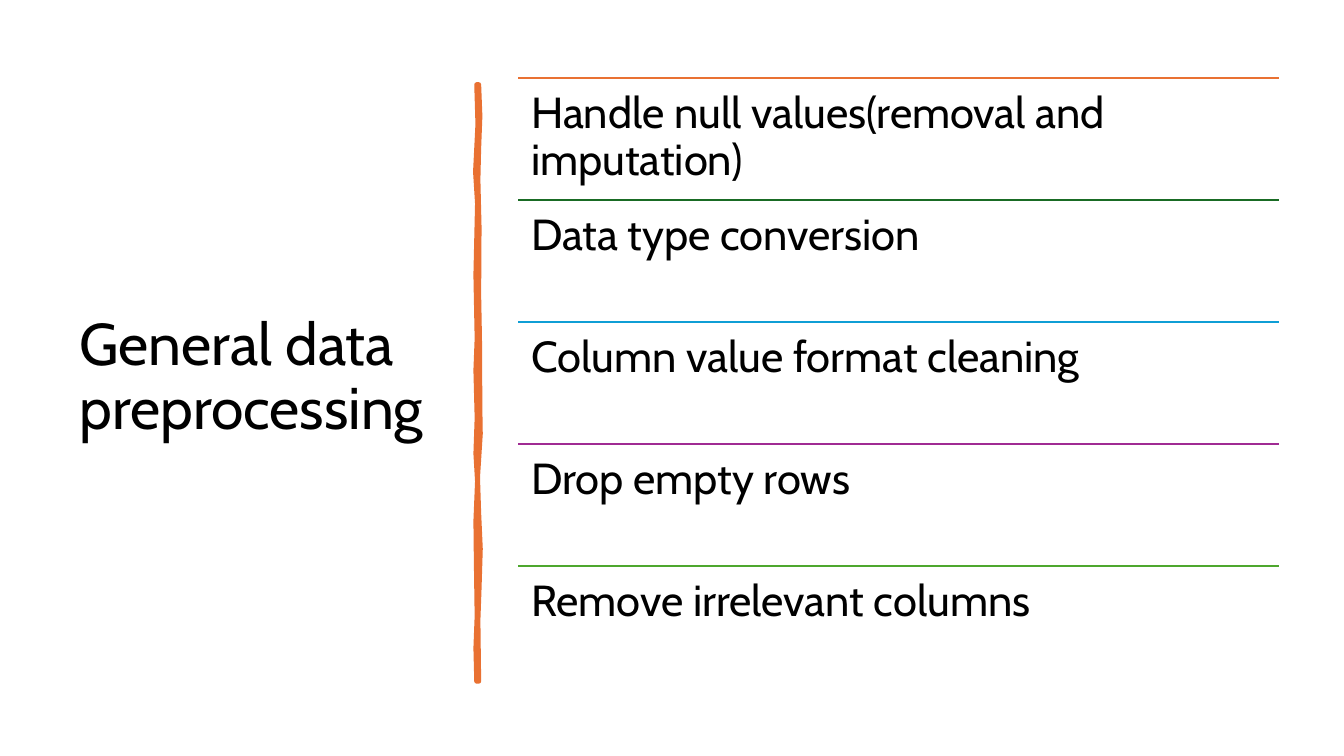
from lxml import etree
from pptx import Presentation
from pptx.dml.color import RGBColor
from pptx.enum import shapes, text
from pptx.oxml import ns
from pptx.util import Cm, Pt

FONT = "Cabin"
STEPS = [
    ("Handle null values(removal and imputation)", "E97132"),
    ("Data type conversion", "196B24"),
    ("Column value format cleaning", "0F9ED5"),
    ("Drop empty rows", "A02B93"),
    ("Remove irrelevant columns", "4EA72E"),
]
# Sideways offset and depth of the points on each edge of the brush stroke, in cm
RIGHT_EDGE = [(0.03, 0), (0.06, 0.8), (0.03, 1.6), (0.01, 2.4), (0.04, 3.6),
              (0.03, 5.3), (0.05, 6.4), (0.06, 8.2), (0.07, 8.8), (0, 9.9),
              (0.03, 10.8), (0.07, 11.7), (0.04, 12.7), (0.01, 13.5), (0.03, 15.04)]
LEFT_EDGE = [(-0.03, 15.04), (-0.05, 14.2), (-0.02, 13.4), (-0.04, 12.0),
             (-0.05, 11.0), (-0.01, 10.0), (-0.05, 9.3), (-0.02, 8.4),
             (-0.05, 7.2), (-0.02, 6.4), (-0.05, 4.8), (-0.01, 3.0),
             (-0.06, 2.2), (0, 1.0), (-0.03, 0)]


def color(hex_code):
    return RGBColor.from_string(hex_code)


def add_text(slide, words, box, size, anchor, inset_x, inset_y):
    frame = slide.shapes.add_textbox(*(Cm(n) for n in box)).text_frame
    frame.word_wrap = True
    frame.vertical_anchor = anchor
    frame.margin_left = frame.margin_right = Cm(inset_x)
    frame.margin_top = frame.margin_bottom = Cm(inset_y)
    paragraph = frame.paragraphs[0]
    paragraph.line_spacing = 0.9
    run = paragraph.add_run()
    run.text = words
    run.font.name = FONT
    run.font.size = Pt(size)
    run.font.color.rgb = color("000000")


def add_heading(slide, box):
    add_text(slide, "General data preprocessing", box, size=42,
             anchor=text.MSO_ANCHOR.MIDDLE, inset_x=0.25, inset_y=0.13)


def add_brush_stroke(slide, center, top):
    outline = [(Cm(center + dx), Cm(top + dy)) for dx, dy in RIGHT_EDGE + LEFT_EDGE]
    builder = slide.shapes.build_freeform(*outline[0])
    builder.add_line_segments(outline[1:], close=True)
    stroke = builder.convert_to_shape()
    stroke.shadow.inherit = False
    stroke.fill.solid()
    stroke.fill.fore_color.rgb = color("E97132")
    stroke.line.color.rgb = color("E97132")
    stroke.line.width = Pt(3.25)
    etree.SubElement(stroke.line._get_or_add_ln(), ns.qn("a:round"))


def add_rule(slide, left, top, width, hex_code):
    rule = slide.shapes.add_connector(
        shapes.MSO_CONNECTOR.STRAIGHT, Cm(left), Cm(top), Cm(left + width), Cm(top))
    rule.line.color.rgb = color(hex_code)
    rule.line.width = Pt(1.5)
    etree.SubElement(rule._element.spPr, ns.qn("a:effectLst"))


def add_steps(slide, box):
    left, top, width, height = box
    row_height = height / len(STEPS)
    for index, (step, hex_code) in enumerate(STEPS):
        row_top = top + index * row_height
        add_rule(slide, left, row_top, width, hex_code)
        add_text(slide, step, (left, row_top, width, row_height), size=31,
                 anchor=text.MSO_ANCHOR.TOP, inset_x=0.33, inset_y=0.33)


def main():
    deck = Presentation()
    deck.slide_width, deck.slide_height = Cm(33.87), Cm(19.05)
    slide = deck.slides.add_slide(deck.slide_layouts[6])
    # Left: heading
    add_heading(slide, (1.75, 1.78, 9.5, 15.52))
    # Divider
    add_brush_stroke(slide, center=12.04, top=2.13)
    # Right: list of steps under coloured rules
    add_steps(slide, (13.06, 1.96, 19.18, 15.37))
    deck.save("out.pptx")


if __name__ == "__main__":
    main()
